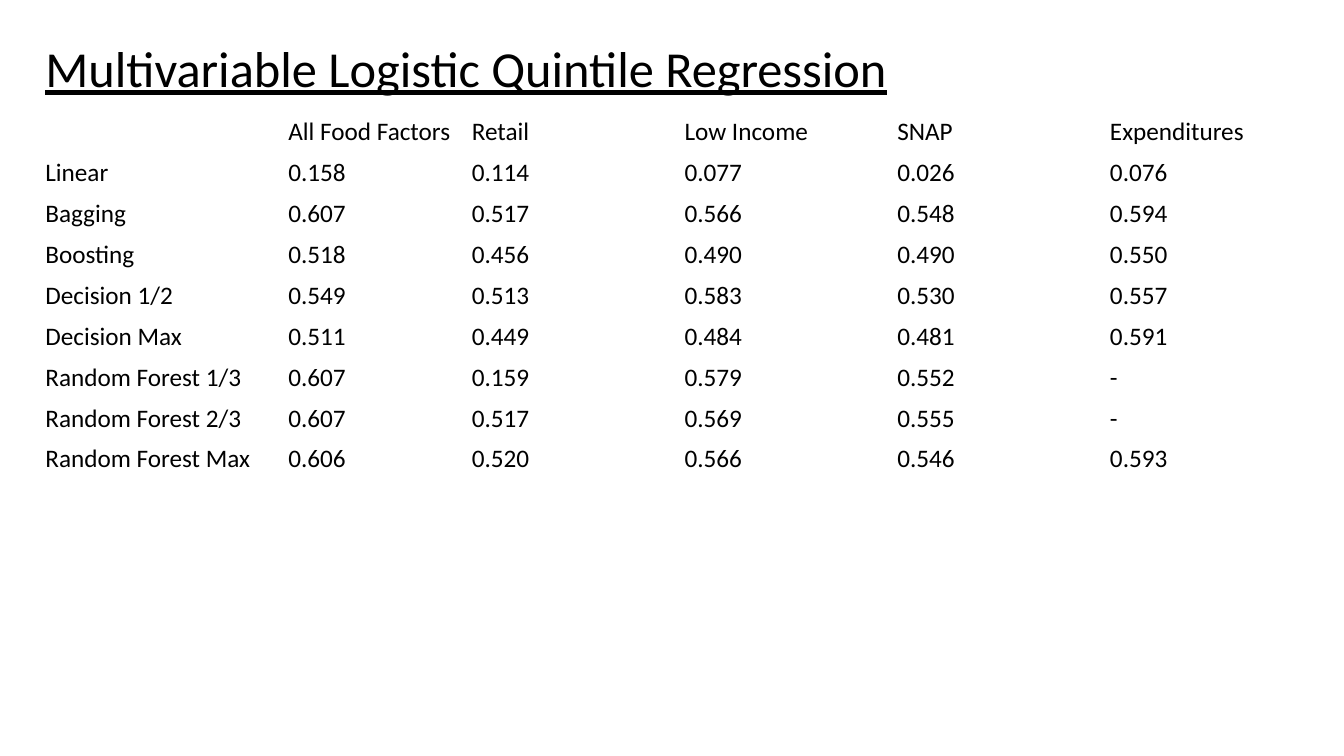
from pptx import Presentation
from pptx.dml.color import RGBColor
from pptx.enum.text import MSO_ANCHOR, PP_ALIGN
from pptx.util import Inches, Pt

MIDDLE = MSO_ANCHOR.MIDDLE
LEFT = PP_ALIGN.LEFT
TITLE_ONLY = 5
FONT = "Calibri"
COLORS = {"text": "000000", "background": "FFFFFF"}

FACTORS = ["All Food Factors", "Retail", "Low Income", "SNAP", "Expenditures"]
SCORES = {
    "Linear": ["0.158", "0.114", "0.077", "0.026", "0.076"],
    "Bagging": ["0.607", "0.517", "0.566", "0.548", "0.594"],
    "Boosting": ["0.518", "0.456", "0.490", "0.490", "0.550"],
    "Decision 1/2": ["0.549", "0.513", "0.583", "0.530", "0.557"],
    "Decision Max": ["0.511", "0.449", "0.484", "0.481", "0.591"],
    "Random Forest 1/3": ["0.607", "0.159", "0.579", "0.552", "-"],
    "Random Forest 2/3": ["0.607", "0.517", "0.569", "0.555", "-"],
    "Random Forest Max": ["0.606", "0.520", "0.566", "0.546", "0.593"],
}
COLUMN_WIDTHS = [2.41, 1.82] + [2.11] * 4


def write_text(frame, text, size=18, underline=None, line_spacing=None):
    """Fill a text frame with one left-aligned, formatted paragraph."""
    paragraph = frame.paragraphs[0]
    paragraph.alignment = LEFT
    paragraph.line_spacing = line_spacing
    paragraph.font.size = Pt(size)
    if not text:
        return
    run = paragraph.add_run()
    run.text = text
    run.font.name = FONT
    run.font.size = Pt(size)
    run.font.underline = underline
    run.font.color.rgb = RGBColor.from_string(COLORS["text"])


def add_title(slide, text):
    """Place and format the slide's title placeholder."""
    title = slide.shapes.title
    title.left, title.top = Inches(0.35), Inches(0.3)
    title.width, title.height = Inches(11.89), Inches(0.81)
    title.text_frame.vertical_anchor = MIDDLE
    title.text_frame.word_wrap = True
    write_text(title.text_frame, text, size=36, underline=True, line_spacing=0.9)


def add_score_table(slide, rows):
    """Add the plain table of scores by model and food factor."""
    table = slide.shapes.add_table(
        len(rows), len(COLUMN_WIDTHS),
        Inches(0.35), Inches(1.11), Inches(sum(COLUMN_WIDTHS)), Inches(3.65),
    ).table
    table.first_row = False
    table.horz_banding = False
    for column, width in zip(table.columns, COLUMN_WIDTHS):
        column.width = Inches(width)
    for row, texts in zip(table.rows, rows):
        for cell, text in zip(row.cells, texts):
            cell.fill.background()
            write_text(cell.text_frame, text)


def main():
    """Build and save the slide."""
    deck = Presentation()
    deck.slide_width, deck.slide_height = Inches(13.33), Inches(7.5)
    slide = deck.slides.add_slide(deck.slide_layouts[TITLE_ONLY])
    slide.background.fill.solid()
    slide.background.fill.fore_color.rgb = RGBColor.from_string(COLORS["background"])
    add_title(slide, "Multivariable Logistic Quintile Regression")
    model_rows = [[model] + scores for model, scores in SCORES.items()]
    add_score_table(slide, [[""] + FACTORS] + model_rows)
    deck.save("out.pptx")


if __name__ == "__main__":
    main()
